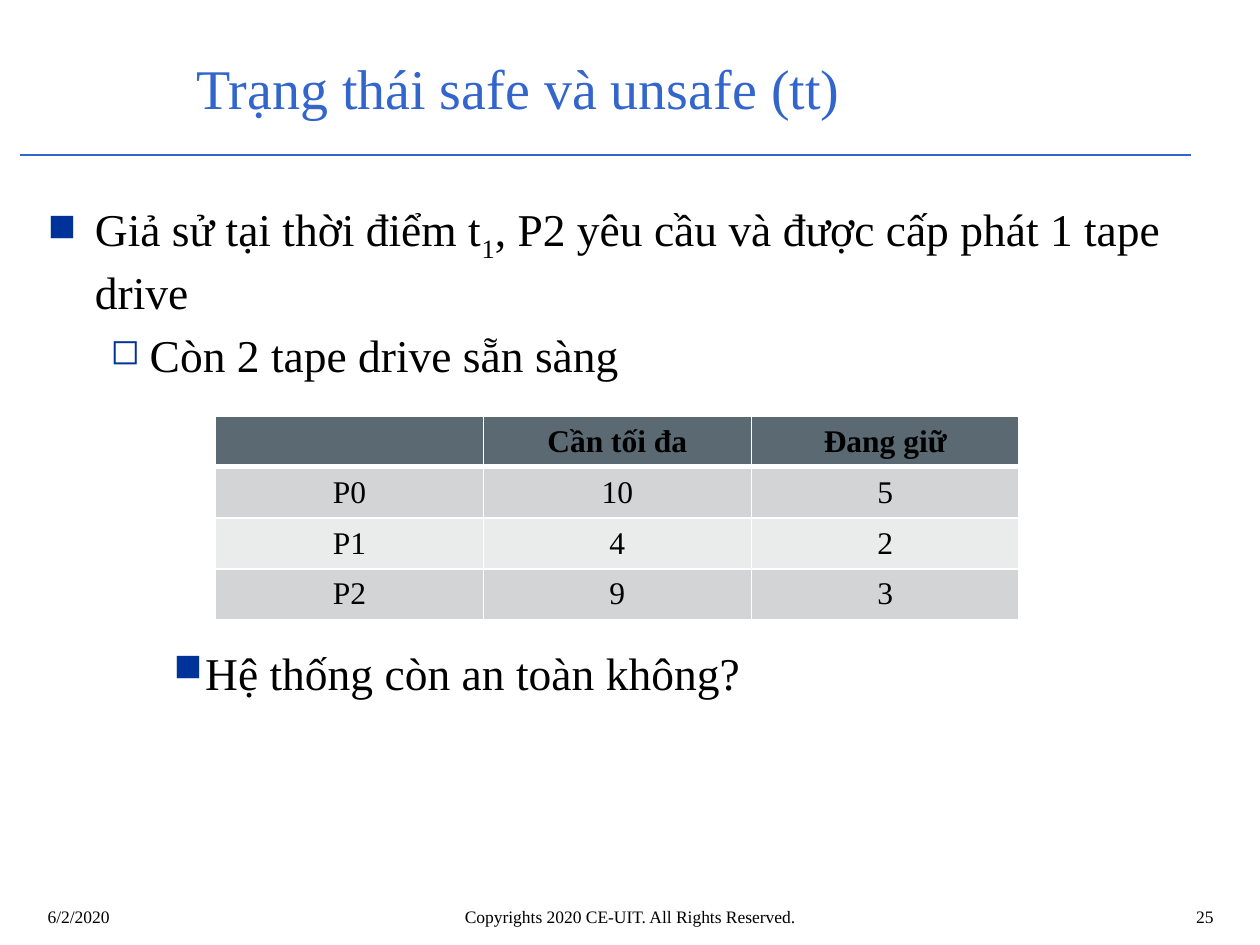
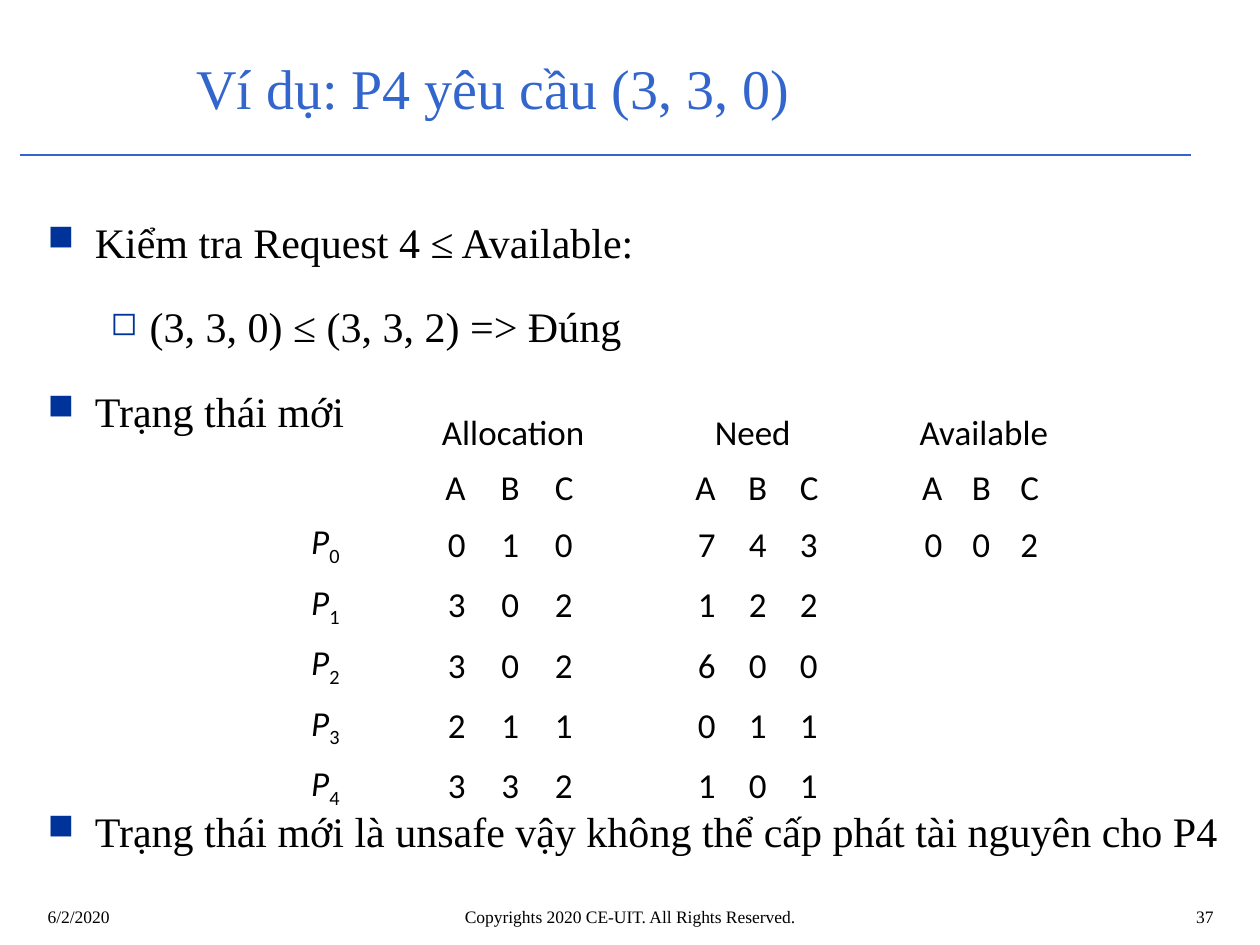
from dataclasses import dataclass

from lxml.etree import SubElement
from pptx import Presentation
from pptx.dml.color import RGBColor
from pptx.enum.shapes import MSO_CONNECTOR as Line, MSO_SHAPE as Shape
from pptx.enum.text import MSO_ANCHOR as Anchor, PP_ALIGN as Align
from pptx.oxml.ns import qn
from pptx.util import Inches, Pt

# Shared look; the slide is a grid of 100 columns by 75 rows
COLS, ROWS = 100, 75
CELL = Inches(0.1)
SERIF, SANS = "Times New Roman", "Calibri"
BLUE, NAVY, BLACK, WHITE = "3366CC", "003399", "000000", "FFFFFF"
HEAD, DARK, PALE = "5B6973", "D2D4D5", "EAEBEB"
LEFT, MID, RIGHT = Align.LEFT, Align.CENTER, Align.RIGHT
INDENT = [(3.75, 3.75), (8.1, 3.1), (12.5, 2.5)]
MARKS = "■◻■"
SIZES = [85, 78, 85]
BARE = "{2D5ABB26-0587-4C30-8999-92F81FD0307C}"  # table style without lines or fills


@dataclass
class Box:
    col: float
    row: float
    wide: float
    high: float

    def rect(self) -> list[int]:
        return [grid(n) for n in (self.col, self.row, self.wide, self.high)]


@dataclass
class Style:
    size: float
    color: str = BLACK
    face: str = SERIF
    bold: bool = False
    align: Align = LEFT


@dataclass
class Point:
    """A bullet; text between bars is set as a subscript."""
    text: str
    level: int = 0
    before: float = 5


@dataclass
class Grid:
    box: Box
    cols: list[float]
    rows: list[float]


def grid(n: float) -> int:
    return round(n * CELL)


def rgb(code: str) -> RGBColor:
    return RGBColor.from_string(code)


def write(para, text: str, style: Style, slant: bool = False) -> None:
    para.alignment = style.align
    font = para.font
    font.size, font.name, font.bold = Pt(style.size), style.face, style.bold
    font.color.rgb = rgb(style.color)
    for i, part in enumerate(text.split("|")):
        if not part:
            continue
        run = para.add_run()
        run.text = part
        if i % 2:
            run._r.get_or_add_rPr().set("baseline", "-25000")
        elif slant:
            run.font.italic = True


def frame(slide, box: Box, anchor: Anchor = Anchor.TOP):
    body = slide.shapes.add_textbox(*box.rect()).text_frame
    body.word_wrap, body.vertical_anchor = True, anchor
    return body


def label(slide, box: Box, text: str, style: Style, anchor: Anchor = Anchor.TOP) -> None:
    write(frame(slide, box, anchor).paragraphs[0], text, style)


def points(slide, box: Box, items: list[Point], size: float, pitch: float = 1) -> None:
    body = frame(slide, box)
    for i, item in enumerate(items):
        para = body.paragraphs[0] if i == 0 else body.add_paragraph()
        para.level = item.level
        para.line_spacing, para.space_before = pitch, Pt(item.before)
        props = para._p.get_or_add_pPr()
        left, hang = INDENT[item.level]
        props.set("marL", str(grid(left)))
        props.set("indent", str(-grid(hang)))
        tint = SubElement(props, qn("a:buClr"))
        SubElement(tint, qn("a:srgbClr")).set("val", NAVY)
        SubElement(props, qn("a:buSzPct")).set("val", str(SIZES[item.level] * 1000))
        SubElement(props, qn("a:buChar")).set("char", MARKS[item.level])
        write(para, item.text, Style(size))


def edge(cell, side: str, width: float) -> None:
    """Draw one white cell border; call it before the cell is filled."""
    line = SubElement(cell._tc.get_or_add_tcPr(), qn(f"a:ln{side}"))
    line.set("w", str(Pt(width)))
    tint = SubElement(line, qn("a:solidFill"))
    SubElement(tint, qn("a:srgbClr")).set("val", WHITE)


def table(slide, plan: Grid):
    shape = slide.shapes.add_table(len(plan.rows), len(plan.cols), *plan.box.rect())
    made = shape.table
    made.first_row = made.horz_banding = False
    made._tbl.tblPr.find(qn("a:tableStyleId")).text = BARE
    for col, wide in zip(made.columns, plan.cols):
        col.width = grid(wide)
    for row, high in zip(made.rows, plan.rows):
        row.height = grid(high)
    for cell in made.iter_cells():
        cell.vertical_anchor = Anchor.MIDDLE
    return made


def base(deck, title: str, number: int):
    slide = deck.slides.add_slide(deck.slide_layouts[6])
    # Title band and rule
    band = slide.shapes.add_shape(Shape.RECTANGLE, *Box(0, 0.5, 94.5, 14.2).rect())
    band.shadow.inherit = False
    band.line.fill.background()
    band.fill.solid()
    band.fill.fore_color.rgb = rgb(WHITE)
    tint = band._element.spPr.find(f"{qn('a:solidFill')}/{qn('a:srgbClr')}")
    SubElement(tint, qn("a:alpha")).set("val", "60000")
    ends = [grid(n) for n in (1.6, 12.3, 94.5, 12.3)]
    rule = slide.shapes.add_connector(Line.STRAIGHT, *ends)
    rule.line.color.rgb, rule.line.width = rgb(BLUE), Pt(0.75)
    SubElement(rule._element.spPr, qn("a:effectLst"))
    label(slide, Box(14.6, 3.1, 80.4, 7.6), title, Style(32, BLUE), Anchor.MIDDLE)
    # Footer
    for col, wide, text, align in (
        (2.8, 23.3, "6/2/2020", LEFT),
        (19.3, 61.4, "Copyrights 2020 CE-UIT. All Rights Reserved.", MID),
        (78.1, 19.2, str(number), RIGHT),
    ):
        label(slide, Box(col, 71.4, wide, 3.2), text, Style(10, align=align))
    return slide


def safe(deck) -> None:
    slide = base(deck, "Trạng thái safe và unsafe (tt)", 25)
    points(slide, Box(2.8, 15.5, 94.5, 52.8), [
        Point("Giả sử tại thời điểm t|1|, P2 yêu cầu và được cấp phát 1 tape drive"),
        Point("Còn 2 tape drive sẵn sàng", 1),
        Point("Hệ thống còn an toàn không?", 2, 150.5),
    ], 26)
    # Needs and holdings of each process
    data = [("", "Cần tối đa", "Đang giữ"),
            ("P0", "10", "5"), ("P1", "4", "2"), ("P2", "9", "3")]
    plan = Grid(Box(17.1, 33, 63.8, 16.2), [63.8 / 3] * 3, [4.05] * 4)
    made = table(slide, plan)
    for r, line in enumerate(data):
        for c, text in enumerate(line):
            cell = made.cell(r, c)
            for side in "LRTB":
                edge(cell, side, 3 if (r, side) in ((0, "B"), (1, "T")) else 1)
            cell.fill.solid()
            cell.fill.fore_color.rgb = rgb((DARK if r % 2 else PALE) if r else HEAD)
            write(cell.text_frame.paragraphs[0], text,
                  Style(18, bold=r == 0, align=MID))


def request(deck) -> None:
    slide = base(deck, "Ví dụ: P4 yêu cầu (3, 3, 0)", 37)
    points(slide, Box(2.8, 14.7, 95.6, 52.8), [
        Point("Kiểm tra Request 4 ≤ Available:"),
        Point("(3, 3, 0) ≤ (3, 3, 2) => Đúng", 1),
        Point("Trạng thái mới"),
        Point("Trạng thái mới là unsafe vậy không thể cấp phát tài nguyên cho P4", 0, 197),
    ], 24, 1.5)
    # State after the grant: three columns A, B, C in each group
    groups = ["Allocation", "Need", "Available"]
    state = ["010743002", "302122", "302600", "211011", "332101"]
    plan = Grid(Box(24.2, 32.2, 63.1, 30.3),
                [6.65, 6.6, 6.1, 7.05, 6.7, 5.7, 5.9, 6.4, 5.2, 6.8],
                [3.9, 4.2] + [3.9] * 5)
    made = table(slide, plan)
    for cell in made.iter_cells():
        cell.fill.background()
        cell.margin_left = cell.margin_right = grid(0.5)

    def put(r: int, c: int, text: str, align: Align, slant: bool = False) -> None:
        write(made.cell(r, c).text_frame.paragraphs[0], text,
              Style(20, face=SANS, align=align), slant)

    for g, name in enumerate(groups):
        first = 1 + 3 * g
        made.cell(0, first).merge(made.cell(0, first + 2))
        put(0, first, name, MID)
    for r, line in enumerate(["ABC" * 3] + state, 1):
        if r > 1:
            put(r, 0, f"P|{r - 2}", LEFT, True)
        for c, mark in enumerate(line):
            put(r, c + 1, mark, (RIGHT, MID, LEFT)[c % 3])


def main() -> None:
    deck = Presentation()
    deck.slide_width, deck.slide_height = grid(COLS), grid(ROWS)
    safe(deck)
    request(deck)
    deck.save("out.pptx")


if __name__ == "__main__":
    main()
